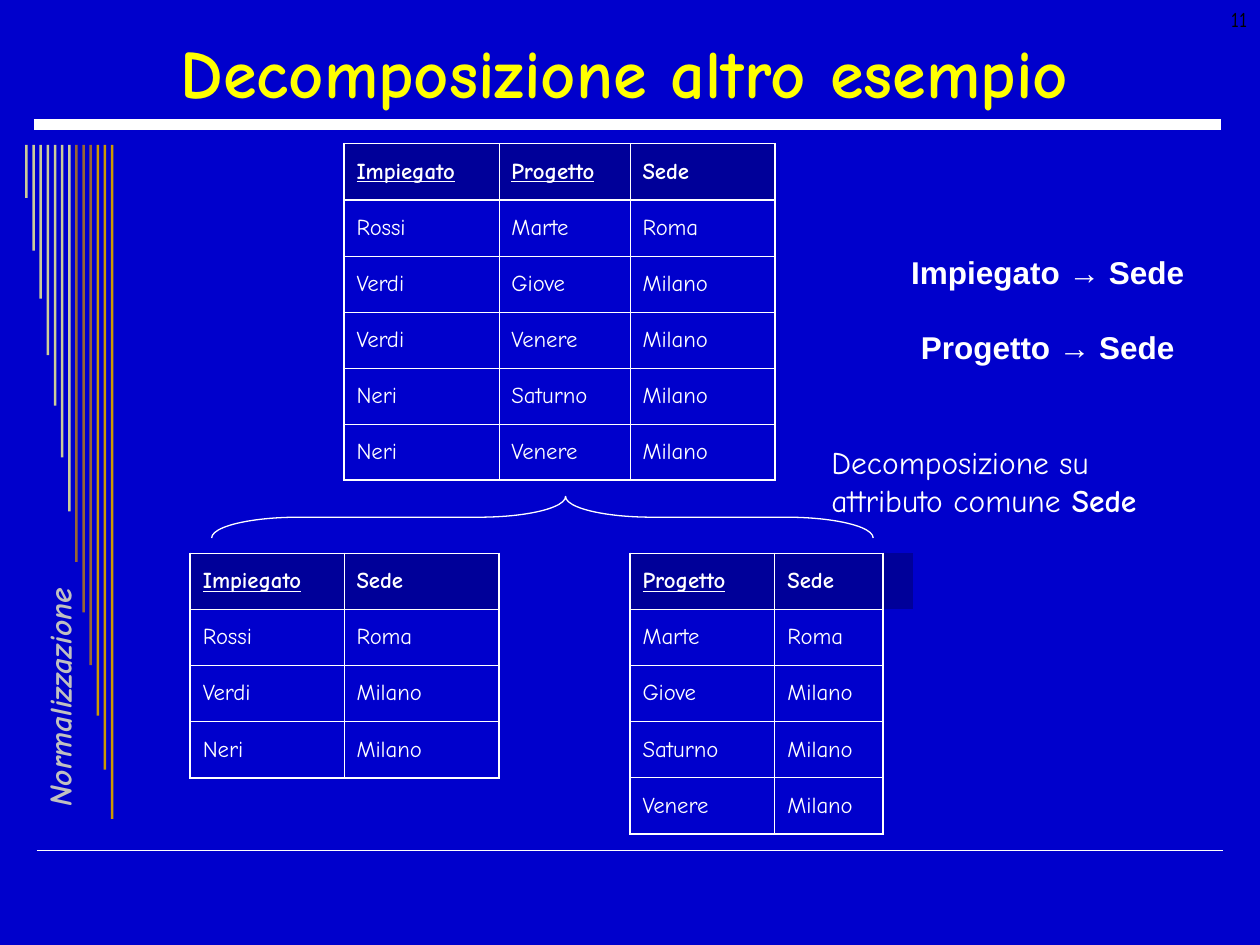
from lxml.etree import SubElement
from pptx import Presentation
from pptx.dml.color import RGBColor
from pptx.enum.shapes import MSO_CONNECTOR, MSO_SHAPE
from pptx.enum.text import MSO_ANCHOR, MSO_AUTO_SIZE, PP_ALIGN
from pptx.oxml.ns import qn
from pptx.util import Inches, Pt

BLUE = RGBColor(0x00, 0x00, 0xCC)
NAVY = RGBColor(0x00, 0x00, 0x99)
WHITE = RGBColor(0xFF, 0xFF, 0xFF)
YELLOW = RGBColor(0xFF, 0xFF, 0x00)
SILVER = RGBColor(0xC0, 0xC0, 0xC0)
BLACK = RGBColor(0x00, 0x00, 0x00)
SAND = RGBColor(0xCC, 0xCC, 0x99)
BROWN = RGBColor(0x99, 0x66, 0x33)
GOLD = RGBColor(0xCC, 0x99, 0x00)

FONT = "Comic Neue"
NO_STYLE = "{2D5ABB26-0587-4C30-8999-92F81FD0307C}"
THICK, THIN = Pt(1.08), Pt(0.45)

BAR_HEIGHTS = [0.42, 0.84, 1.22, 1.67, 2.07, 2.48, 2.91,
               3.31, 3.71, 4.13, 4.53, 4.96, 5.35]
BAR_COLORS = [SAND] * 7 + [BROWN] * 3 + [GOLD] * 3

COLUMN_WIDTHS = [0.24, 1.22, 1.23, 1.04, 1.15, 0.86, 0.24]
GRID_HEIGHT, GAP_HEIGHT = 5.48, 0.58
ROW_COUNT, GAP_ROW = 12, 6

ASSIGNMENTS = [
    ("Impiegato", "Progetto", "Sede"),
    ("Rossi", "Marte", "Roma"),
    ("Verdi", "Giove", "Milano"),
    ("Verdi", "Venere", "Milano"),
    ("Neri", "Saturno", "Milano"),
    ("Neri", "Venere", "Milano"),
]
EMPLOYEES = [
    ("Impiegato", "Sede"),
    ("Rossi", "Roma"),
    ("Verdi", "Milano"),
    ("Neri", "Milano"),
]
PROJECTS = [
    ("Progetto", "Sede"),
    ("Marte", "Roma"),
    ("Giove", "Milano"),
    ("Saturno", "Milano"),
    ("Venere", "Milano"),
]


class SlideBuilder:
    def __init__(self, slide):
        self.slide = slide
        self.shapes = slide.shapes
        slide.background.fill.solid()
        slide.background.fill.fore_color.rgb = BLUE

    def style(self, p, size, color=WHITE, name=FONT, bold=False, align=PP_ALIGN.LEFT):
        p.alignment = align
        p.font.name = name
        p.font.size = Pt(size)
        p.font.bold = bold
        p.font.color.rgb = color

    def title(self, text, x, y, w, h):
        sp = self.shapes.title
        sp.left, sp.top, sp.width, sp.height = map(Inches, (x, y, w, h))
        tf = sp.text_frame
        tf.text = text
        tf.auto_size = MSO_AUTO_SIZE.NONE
        tf.vertical_anchor = MSO_ANCHOR.MIDDLE
        self.style(tf.paragraphs[0], 39, YELLOW, bold=True, align=PP_ALIGN.CENTER)

    def text(self, lines, x, y, w, h, size, wrap=True, gap=0, **style):
        sp = self.shapes.add_textbox(*map(Inches, (x, y, w, h)))
        tf = sp.text_frame
        tf.word_wrap = wrap
        for i, line in enumerate(lines):
            p = tf.paragraphs[0] if i == 0 else tf.add_paragraph()
            p.text = line
            self.style(p, size, **style)
            if i:
                p.space_before = Pt(gap)
        return sp

    def rule(self, x1, x2, y, width):
        line = self.shapes.add_connector(
            MSO_CONNECTOR.STRAIGHT, Inches(x1), Inches(y), Inches(x2), Inches(y))
        line.line.color.rgb = WHITE
        line.line.width = Pt(width)
        SubElement(line._element.spPr, qn("a:effectLst"))

    def bar(self, x, y, w, h, color):
        sp = self.shapes.add_shape(MSO_SHAPE.RECTANGLE, *map(Inches, (x, y, w, h)))
        sp.shadow.inherit = False
        sp.fill.solid()
        sp.fill.fore_color.rgb = color
        sp.line.fill.background()

    def brace(self, x, y, w, h):
        sp = self.shapes.add_shape(MSO_SHAPE.LEFT_BRACE, *map(Inches, (x, y, w, h)))
        sp.rotation = 90
        sp.adjustments[0] = 2.09
        sp.adjustments[1] = 0.465
        sp.shadow.inherit = False
        sp.fill.background()
        sp.line.color.rgb = WHITE
        sp.line.width = Pt(0.75)

    def grid(self, x, y):
        frame = self.shapes.add_table(
            ROW_COUNT, len(COLUMN_WIDTHS), Inches(x), Inches(y),
            Inches(sum(COLUMN_WIDTHS)), Inches(GRID_HEIGHT))
        table = frame.table
        table.first_row = table.horz_banding = False
        table._tbl.tblPr.find(qn("a:tableStyleId")).text = NO_STYLE
        for column, width in zip(table.columns, COLUMN_WIDTHS):
            column.width = Inches(width)
        row_height = (GRID_HEIGHT - GAP_HEIGHT) / (ROW_COUNT - 1)
        for i, row in enumerate(table.rows):
            row.height = Inches(GAP_HEIGHT if i == GAP_ROW else row_height)
        for cell in table.iter_cells():
            cell.fill.background()
        return table

    def borders(self, cell, widths):
        tcPr = cell._tc.get_or_add_tcPr()
        for i, (side, width) in enumerate(widths.items()):
            ln = tcPr.makeelement(qn(f"a:ln{side}"), {"w": str(width)})
            fill = SubElement(ln, qn("a:solidFill"))
            SubElement(fill, qn("a:srgbClr"), val=str(WHITE))
            tcPr.insert(i, ln)

    def header_fill(self, cell):
        cell.fill.solid()
        cell.fill.fore_color.rgb = NAVY

    def relation(self, table, top, left, rows):
        last_row, last_column = len(rows) - 1, len(rows[0]) - 1
        for i, values in enumerate(rows):
            for j, value in enumerate(values):
                cell = table.cell(top + i, left + j)
                cell.text = value
                cell.vertical_anchor = MSO_ANCHOR.MIDDLE
                p = cell.text_frame.paragraphs[0]
                self.style(p, 13, bold=i == 0)
                self.borders(cell, {
                    "L": THICK if j == 0 else THIN,
                    "R": THICK if j == last_column else THIN,
                    "T": THICK if i <= 1 else THIN,
                    "B": THICK if i in (0, last_row) else THIN,
                })
                if i == 0:
                    p.font.underline = value != "Sede"
                    self.header_fill(cell)


def main():
    prs = Presentation()
    prs.slide_width, prs.slide_height = Inches(10), Inches(7.5)
    s = SlideBuilder(prs.slides.add_slide(prs.slide_layouts[5]))

    s.rule(0.29, 9.71, 6.75, 1)
    s.rule(0.27, 9.69, 0.99, 6)
    for i, (height, color) in enumerate(zip(BAR_HEIGHTS, BAR_COLORS)):
        s.bar(0.2 + i * 0.68 / 12, 1.15, 0.02, height, color)
    section = s.text(["Normalizzazione"], -0.75, 5.24, 2.28, 0.24, 18,
                     wrap=False, color=SILVER, bold=True)
    section.rotation = 270
    section.text_frame.paragraphs[0].font.italic = True

    s.title("Decomposizione altro esempio", 0.35, 0.21, 9.21, 0.71)

    table = s.grid(1.27, 1.14)
    s.relation(table, 0, 2, ASSIGNMENTS)
    s.relation(table, GAP_ROW + 1, 1, EMPLOYEES)
    s.relation(table, GAP_ROW + 1, 4, PROJECTS)
    s.header_fill(table.cell(GAP_ROW + 1, 6))

    s.text(["Impiegato → Sede", "Progetto → Sede"], 6.94, 1.96, 2.75, 1, 18,
           gap=21, name="Arial", bold=True, align=PP_ALIGN.CENTER)
    s.brace(4.14, 1.48, 0.33, 5.25)
    note = s.text(["Decomposizione su attributo comune"], 6.5, 3.47, 3.07, 0.7, 18)
    r = note.text_frame.paragraphs[0].add_run()
    r.text = " Sede"
    r.font.bold = True
    s.text(["11"], 7.67, 0, 2.33, 0.5, 12, color=BLACK, align=PP_ALIGN.RIGHT)

    prs.save("out.pptx")


if __name__ == "__main__":
    main()
